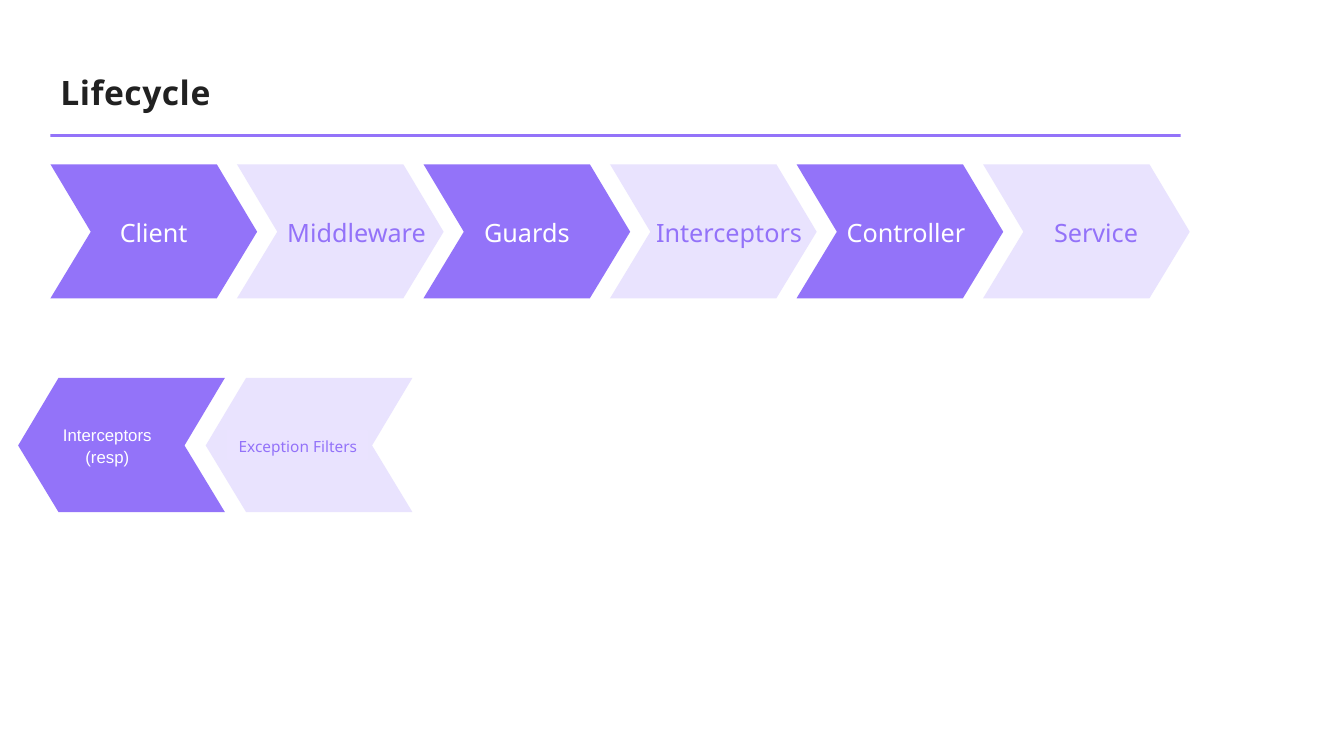
from pptx import Presentation
from pptx import util as u
from pptx.dml.color import RGBColor
from pptx.enum import shapes, text

PX = u.Inches(1) // 100
WHITE = RGBColor(0xFF, 0xFF, 0xFF)
INK = RGBColor(0x21, 0x21, 0x21)
VIOLET = RGBColor(0x93, 0x73, 0xF9)
VIOLET_TEXT = RGBColor(0x93, 0x72, 0xF9)
LILAC = RGBColor(0xE9, 0xE3, 0xFE)
LABEL_LILAC = RGBColor(0xEA, 0xE3, 0xFF)

STEP_WIDTH, STEP_HEIGHT, NOTCH, PITCH = 205, 133, 40, 185
REQUEST_STEPS = [("Client", 0), ("Middleware", 32), ("Guards", 0),
                 ("Interceptors", 31), ("Controller", 12), ("Service", 19)]
TONES = [(VIOLET, WHITE), (LILAC, VIOLET_TEXT)]


class LifecycleSlide:
    """Draws the parts of the lifecycle slide in one style, with lengths in px."""

    def __init__(self, slide, font="Noto Sans"):
        self.slide = slide
        self.font = font

    def paint(self, shape, fill, line=None):
        shape.shadow.inherit = False
        shape.fill.solid()
        shape.fill.fore_color.rgb = fill
        if line is None:
            shape.line.fill.background()
        else:
            shape.line.color.rgb = line
            shape.line.width = u.Pt(0.75)
        return shape

    def label(self, shape, words, color, size, indent=0, wrap=False, **font_format):
        frame = shape.text_frame
        frame.word_wrap = wrap
        frame.vertical_anchor = text.MSO_ANCHOR.MIDDLE
        frame.margin_left = u.Inches(0.1) + indent * PX
        paragraph = frame.paragraphs[0]
        paragraph.alignment = text.PP_ALIGN.CENTER
        paragraph.line_spacing = 1.1
        run = paragraph.add_run()
        run.text = words
        run.font.color.rgb = color
        for name, value in {"name": self.font, "size": u.Pt(size), **font_format}.items():
            setattr(run.font, name, value)
        return paragraph

    def title(self, words, *box):
        heading = self.slide.shapes.add_textbox(*(n * PX for n in box))
        paragraph = self.label(heading, words, INK, 24, wrap=True, bold=True)
        paragraph.alignment = text.PP_ALIGN.LEFT
        paragraph.line_spacing = 1.0
        paragraph.runs[0].font._element.set("spc", "40")

    def bar(self, fill, *box, line=None):
        rectangle = self.slide.shapes.add_shape(
            shapes.MSO_SHAPE.RECTANGLE, *(n * PX for n in box))
        return self.paint(rectangle, fill, line)

    def step(self, left, top, fill, back=False):
        outline = [(STEP_WIDTH - NOTCH, STEP_HEIGHT), (0, STEP_HEIGHT),
                   (NOTCH, STEP_HEIGHT / 2), (0, 0), (STEP_WIDTH - NOTCH, 0),
                   (STEP_WIDTH, STEP_HEIGHT / 2)]
        corners = [(left + (STEP_WIDTH - x if back else x), top + y) for x, y in outline]
        builder = self.slide.shapes.build_freeform(*corners[0], scale=PX)
        builder.add_line_segments(corners[1:], close=True)
        return self.paint(builder.convert_to_shape(), fill)


def main():
    deck = Presentation()
    deck.slide_width, deck.slide_height = u.Inches(13.33), u.Inches(7.5)
    page = LifecycleSlide(deck.slides.add_slide(deck.slide_layouts[6]))

    page.title("Lifecycle", 50, 47, 1126, 88)
    page.bar(VIOLET, 50, 133, 1121, 3)

    for i, (stage, indent) in enumerate(REQUEST_STEPS):
        fill, color = TONES[i % 2]
        page.label(page.step(50 + i * PITCH, 163, fill), stage, color, 18, indent)

    page.step(18, 375, VIOLET, back=True)
    response = page.bar(VIOLET, 38, 415, 137, 53)
    page.label(response, "Interceptors (resp)", WHITE, 12, wrap=True, name="Arial")

    page.step(204, 375, LILAC, back=True)
    exceptions = page.bar(LABEL_LILAC, 226, 427, 139, 29, line=LABEL_LILAC)
    page.label(exceptions, "Exception Filters", VIOLET_TEXT, 11)

    deck.save("out.pptx")


if __name__ == "__main__":
    main()
